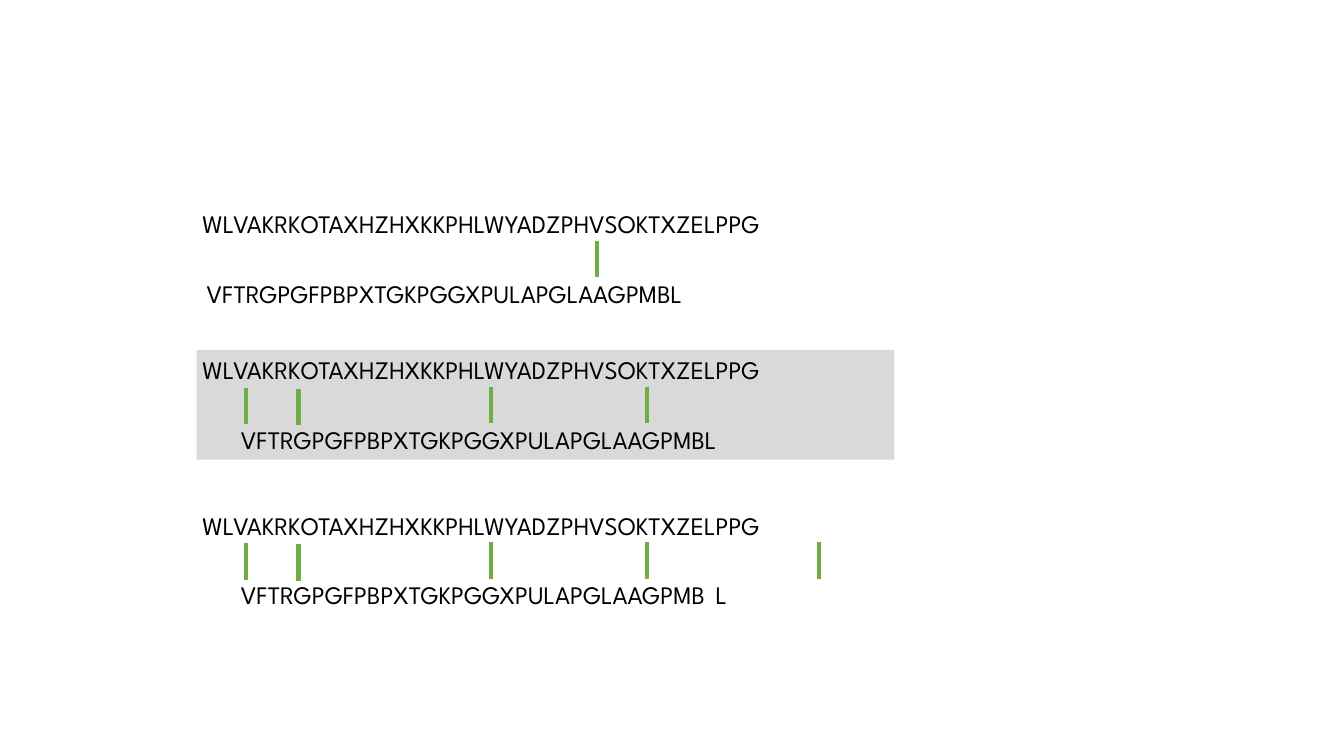
from dataclasses import dataclass

from lxml.etree import SubElement
from pptx import Presentation
from pptx.dml.color import RGBColor
from pptx.enum.shapes import MSO_CONNECTOR as Connector, MSO_SHAPE as Preset
from pptx.enum.text import MSO_AUTO_SIZE as AutoSize
from pptx.oxml.ns import qn
from pptx.shapes.shapetree import GroupShapes
from pptx.util import Inches, Pt

UPPER_SEQUENCE = "WLVAKRKOTAXHZHXKKPHLWYADZPHVSOKTXZELPPG"
LOWER_SEQUENCE = "VFTRGPGFPBPXTGKPGGXPULAPGLAAGPMBL"
GAPPED_SEQUENCE = "VFTRGPGFPBPXTGKPGGXPULAPGLAAGPMB\tL"
UPPER_LEFT, UPPER_WIDTH, LOWER_WIDTH = 1.91, 9.95, 8.22
ROW_HEIGHT, ROW_STEP, MATCH_LENGTH = 0.4, 0.69, 0.36
GAP_STOP = 4.71
FRAME_FORMAT = {"word_wrap": True, "auto_size": AutoSize.SHAPE_TO_FIT_TEXT}
FONT_FORMAT = {"name": "League Spartan", "size": Pt(18)}


@dataclass(frozen=True)
class Match:
    x: float
    drop: float = 0.37


@dataclass(frozen=True)
class Alignment:
    top: float
    lower_left: float
    lower: str
    matches: tuple[Match, ...]
    highlighted: bool = False


SHARED_MATCHES = (Match(2.44, 0.38), Match(2.96, 0.39), Match(4.87), Match(6.42))
ALIGNMENTS = (
    Alignment(2.02, 1.95, LOWER_SEQUENCE, (Match(5.92),)),
    Alignment(3.47, 2.29, LOWER_SEQUENCE, SHARED_MATCHES, highlighted=True),
    Alignment(5.01, 2.29, GAPPED_SEQUENCE, SHARED_MATCHES + (Match(8.12),)),
)


def colour(code: str) -> RGBColor:
    return RGBColor.from_string(code)


def apply_format(target: object, values: dict) -> None:
    for attribute, value in values.items():
        setattr(target, attribute, value)


def draw_sequence(shapes: GroupShapes, left: float, top: float, width: float, letters: str) -> None:
    sequence = shapes.add_textbox(Inches(left), Inches(top), Inches(width), Inches(ROW_HEIGHT))
    apply_format(sequence.text_frame, FRAME_FORMAT)
    line = sequence.text_frame.paragraphs[0]
    residues = line.add_run()
    residues.text = letters
    apply_format(residues.font, FONT_FORMAT)
    residues.font.color.rgb = colour("000000")
    if "\t" in letters:
        stops = SubElement(line._p.get_or_add_pPr(), qn("a:tabLst"))
        SubElement(stops, qn("a:tab"), pos=str(Inches(GAP_STOP)), algn="l")


def draw_highlight(shapes: GroupShapes, top: float) -> None:
    band = shapes.add_shape(Preset.RECTANGLE, Inches(1.95), Inches(top), Inches(6.92), Inches(1.09))
    band.shadow.inherit = False
    band.fill.solid()
    band.fill.fore_color.rgb = colour("D9D9D9")
    band.line.fill.background()


def draw_match(shapes: GroupShapes, match: Match, top: float) -> None:
    x, start = Inches(match.x), top + match.drop
    bond = shapes.add_connector(Connector.STRAIGHT, x, Inches(start + MATCH_LENGTH), x, Inches(start))
    bond.line.color.rgb = colour("70AD47")
    bond.line.width = Pt(3)
    SubElement(bond._element.spPr, qn("a:effectLst"))


def draw_alignment(shapes: GroupShapes, alignment: Alignment) -> None:
    top = alignment.top
    if alignment.highlighted:
        draw_highlight(shapes, top)
    draw_sequence(shapes, UPPER_LEFT, top, UPPER_WIDTH, UPPER_SEQUENCE)
    draw_sequence(shapes, alignment.lower_left, top + ROW_STEP, LOWER_WIDTH, alignment.lower)
    for match in alignment.matches:
        draw_match(shapes, match, top)


def main() -> None:
    deck = Presentation()
    apply_format(deck, {"slide_width": Inches(13.33), "slide_height": Inches(7.5)})
    slide = deck.slides.add_slide(deck.slide_layouts[6])
    for alignment in ALIGNMENTS:
        draw_alignment(slide.shapes.add_group_shape().shapes, alignment)
    deck.save("out.pptx")


if __name__ == "__main__":
    main()
